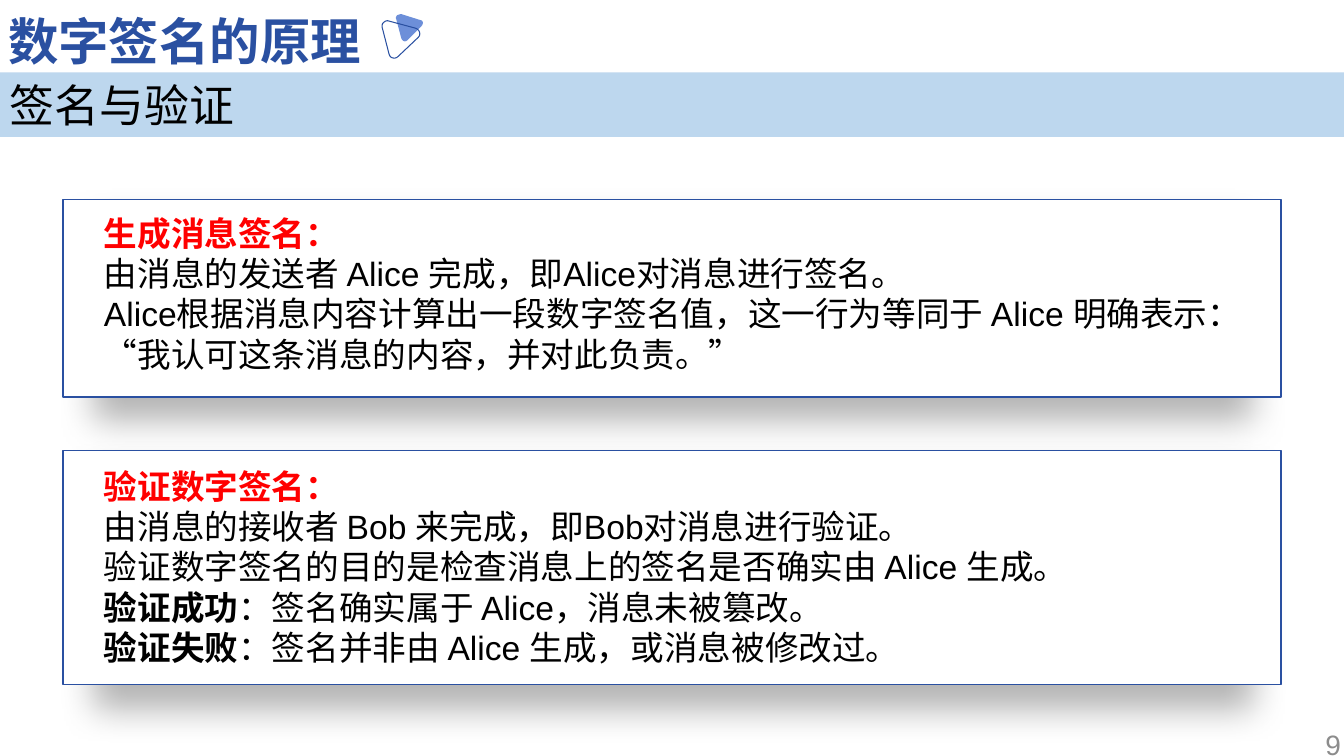
from dataclasses import dataclass
from lxml import etree
from pptx import Presentation
from pptx.dml.color import RGBColor
from pptx.enum.lang import MSO_LANGUAGE_ID
from pptx.enum.shapes import MSO_SHAPE
from pptx.enum.text import MSO_ANCHOR, MSO_AUTO_SIZE, PP_ALIGN
from pptx.oxml import parse_xml
from pptx.oxml.ns import nsdecls, qn
from pptx.util import Inches, Pt

RECT = MSO_SHAPE.RECTANGLE
TOP, MIDDLE = MSO_ANCHOR.TOP, MSO_ANCHOR.MIDDLE
LEFT, RIGHT = PP_ALIGN.LEFT, PP_ALIGN.RIGHT
FIXED = MSO_AUTO_SIZE.NONE
CHINESE = MSO_LANGUAGE_ID.SIMPLIFIED_CHINESE


@dataclass(frozen=True)
class Theme:
    blue: str = "2A50A1"
    pale: str = "6D8FD9"
    band: str = "BDD7EE"
    red: str = "FF0000"
    black: str = "000000"
    white: str = "FFFFFF"
    gray: str = "8C8C8C"
    sans: str = "Arial"
    serif: str = "Times New Roman"
    title: int = 36
    head: int = 32
    body: int = 24
    page: int = 20


THEME = Theme()

TITLE = "数字签名的原理"
HEAD = "签名与验证"
PAGE = "9"
CARDS = [
    {
        "rows": (19, 18.8),
        "pad": 1.25,
        "head": "生成消息签名：",
        "lines": [
            ("", "由消息的发送者 Alice 完成，即Alice对消息进行签名。\n"
                 "Alice根据消息内容计算出一段数字签名值，这一行为等同于 Alice 明确表示："),
            ("", "“我认可这条消息的内容，并对此负责。”"),
        ],
    },
    {
        "rows": (42.9, 22.3),
        "pad": 1.45,
        "head": "验证数字签名：",
        "lines": [
            ("", "由消息的接收者 Bob 来完成，即Bob对消息进行验证。"),
            ("", "验证数字签名的目的是检查消息上的签名是否确实由 Alice 生成。"),
            ("验证成功", "：签名确实属于 Alice，消息未被篡改。"),
            ("验证失败", "：签名并非由 Alice 生成，或消息被修改过。"),
        ],
    },
]
SOLID = [
    [(4.04, 0.4), (4.02, 0.42), (3.99, 0.41), (3.98, 0.38)],
    [(3.93, 0.19), (3.92, 0.18), (3.93, 0.16), (3.94, 0.15)],
    [(3.94, 0.15), (3.95, 0.15), (3.96, 0.14), (3.98, 0.14)],
    [(4.17, 0.2), (4.2, 0.2), (4.2, 0.24), (4.18, 0.26)],
]
HOLLOW = [
    [(3.95, 0.56), (3.92, 0.59), (3.87, 0.58), (3.86, 0.54)],
    [(3.79, 0.27), (3.79, 0.25), (3.79, 0.23), (3.81, 0.22)],
    [(3.81, 0.22), (3.82, 0.21), (3.84, 0.2), (3.86, 0.21)],
    [(4.12, 0.28), (4.16, 0.29), (4.18, 0.34), (4.15, 0.37)],
]

COLS, ROWS = 128, 72
CARD_COL, CARD_SPAN = 6, 116
TEXT_COL, TEXT_SPAN = 9.9, 108.3
STEPS = 6

deck = Presentation()
deck.slide_width, deck.slide_height = Inches(13.33), Inches(7.5)
slide = deck.slides.add_slide(deck.slide_layouts[3])
shapes = slide.shapes
title, *bodies = list(slide.placeholders)


def cell(col, row, wide, high):
    x, y = deck.slide_width / COLS, deck.slide_height / ROWS
    return int(col * x), int(row * y), int(wide * x), int(high * y)


def place(shape, box):
    shape.left, shape.top, shape.width, shape.height = box


def paint(shape, fill=None, line=None, width=1):
    shape.shadow.inherit = False
    if fill:
        shape.fill.solid()
        shape.fill.fore_color.rgb = RGBColor.from_string(fill)
    else:
        shape.fill.background()
    if line:
        shape.line.color.rgb = RGBColor.from_string(line)
        shape.line.width = Pt(width)
    else:
        shape.line.fill.background()


def frame(shape, inset=0, anchor=TOP):
    text = shape.text_frame
    text.word_wrap = True
    text.auto_size = FIXED
    text.vertical_anchor = anchor
    text.margin_left = text.margin_right = Inches(inset)
    text.margin_top = text.margin_bottom = 0
    return text.paragraphs[0]


def plain(para, align=LEFT):
    para.alignment = align
    para.space_before = Pt(0)
    props = para._p.get_or_add_pPr()
    props.set("marL", "0")
    props.set("indent", "0")
    etree.SubElement(props, qn("a:buNone"))


def write(para, text, size=THEME.body, color=THEME.black, bold=False, face=THEME.sans):
    for i, part in enumerate(text.split("\n")):
        if i:
            para.add_line_break()
        run = para.add_run()
        run.text = part
        font = run.font
        font.size, font.bold, font.name = Pt(size), bold, face
        font.color.rgb = RGBColor.from_string(color)
        font.language_id = CHINESE


def bend(curve):
    for k in range(STEPS + 1):
        t = k / STEPS
        mix = ((1 - t) ** 3, 3 * t * (1 - t) ** 2, 3 * t * t * (1 - t), t ** 3)
        yield tuple(1000 * sum(m * p[axis] for m, p in zip(mix, curve)) for axis in (0, 1))


def draw(curves, **look):
    points = [point for curve in curves for point in bend(curve)]
    pen = shapes.build_freeform(*points[0], scale=Inches(1) / 1000)
    pen.add_line_segments(points[1:], close=True)
    paint(pen.convert_to_shape(), **look)


def shade(shape):
    props = shape._element.spPr
    props.remove(props.find(qn("a:effectLst")))
    props.append(parse_xml(
        f'<a:effectLst {nsdecls("a")}><a:outerShdw blurRad="{Pt(25)}" dist="{Pt(16)}" '
        f'dir="5400000" sx="95000" algn="t" rotWithShape="0"><a:srgbClr val="{THEME.black}">'
        '<a:alpha val="30000"/></a:srgbClr></a:outerShdw></a:effectLst>'))


place(title, cell(0.77, 0.96, 35, 5.8))
para = frame(title)
plain(para)
write(para, TITLE, size=THEME.title, color=THEME.blue, bold=True)

draw(SOLID, fill=THEME.pale)
draw(HOLLOW, line=THEME.blue, width=0.75)

band = shapes.add_shape(RECT, *cell(0, 6.9, COLS, 6.15))
paint(band, fill=THEME.band)
para = frame(band, inset=0.1, anchor=MIDDLE)
plain(para)
write(para, HEAD, size=THEME.head, face=THEME.serif)

for card, body in zip(CARDS, bodies):
    top, high = card["rows"]
    panel = shapes.add_shape(RECT, *cell(CARD_COL, top, CARD_SPAN, high))
    paint(panel, fill=THEME.white, line=THEME.blue)
    shade(panel)
    place(body, cell(TEXT_COL, top + card["pad"], TEXT_SPAN, high - 2 * card["pad"]))
    shapes._spTree.append(body._element)
    para = frame(body)
    plain(para)
    write(para, card["head"], color=THEME.red, bold=True)
    for lead, rest in card["lines"]:
        para = body.text_frame.add_paragraph()
        plain(para)
        if lead:
            write(para, lead, bold=True)
        write(para, rest)

page = shapes.add_textbox(*cell(100, 69.7, 28, 2.3))
para = frame(page, inset=0.03, anchor=MIDDLE)
plain(para, align=RIGHT)
write(para, PAGE, size=THEME.page, color=THEME.gray)

deck.save("out.pptx")
